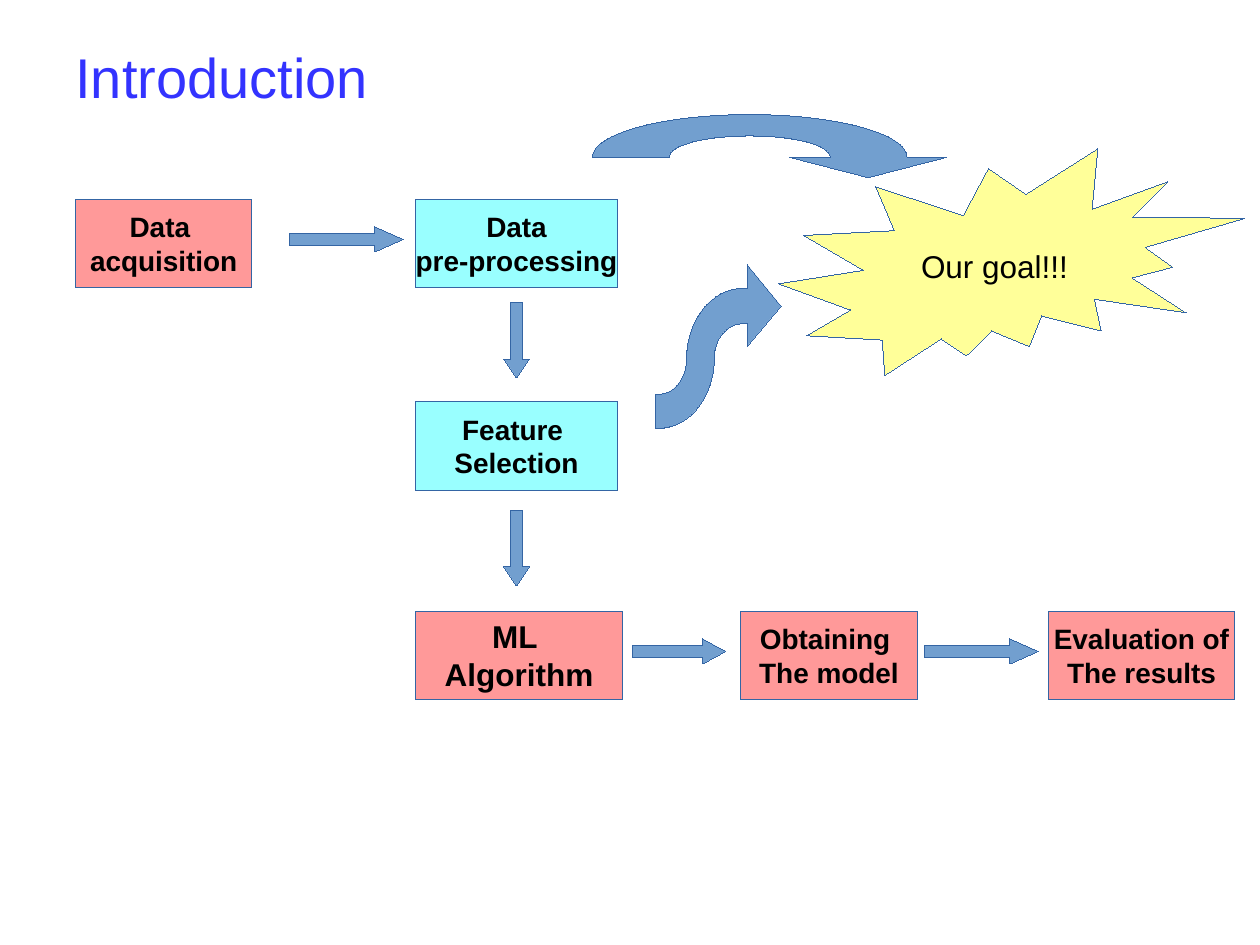
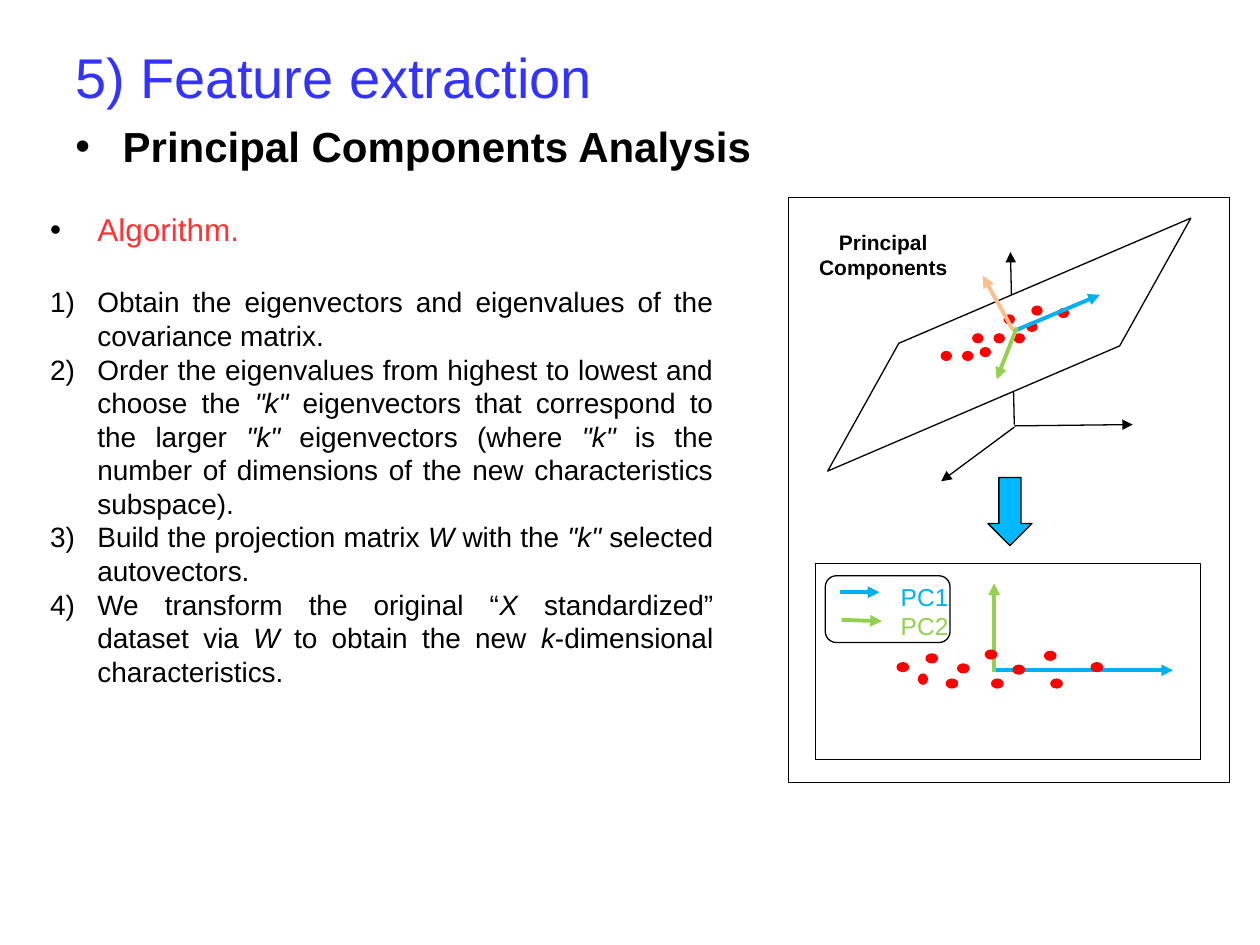
from lxml import etree
from pptx import Presentation
from pptx.dml.color import RGBColor
from pptx.enum.shapes import MSO_CONNECTOR, MSO_SHAPE
from pptx.enum.text import MSO_ANCHOR, PP_ALIGN
from pptx.oxml.ns import qn
from pptx.util import Pt

PX = 9144  # EMU per px, 100 px to the inch
HANG = 342900  # hanging indent of list items, in EMU
FONT = "Arial"
RECT, ROUND = MSO_SHAPE.RECTANGLE, MSO_SHAPE.ROUNDED_RECTANGLE
RIGHT, DOWN = MSO_SHAPE.RIGHT_ARROW, MSO_SHAPE.DOWN_ARROW
BURST, DOT = MSO_SHAPE.EXPLOSION2, MSO_SHAPE.FLOWCHART_CONNECTOR
PLANE = MSO_SHAPE.PARALLELOGRAM
STRAIGHT = MSO_CONNECTOR.STRAIGHT
LEFT, MID, JUST = PP_ALIGN.LEFT, PP_ALIGN.CENTER, PP_ALIGN.JUSTIFY
TOP, CENTER = MSO_ANCHOR.TOP, MSO_ANCHOR.MIDDLE
HEX = {
    "title": "3333FF", "black": "000000", "white": "FFFFFF", "red": "FF0000",
    "coral": "FF3333", "pink": "FF9999", "cyan": "99FFFF", "yellow": "FFFF99",
    "steel": "729FCF", "edge": "3465A4", "sky": "00B8FF", "blue": "00B0F0",
    "green": "92D050", "peach": "FAC090",
}
RGB = {name: RGBColor.from_string(code) for name, code in HEX.items()}


def write(frame, rows, align=LEFT, anchor=TOP, wrap=False, bold=False):
    """Fill a frame with (text, size, color[, mark, gap]) rows; *stars* are italic."""
    look = {"word_wrap": wrap, "vertical_anchor": anchor}
    for key, value in look.items():
        setattr(frame, key, value)
    for i, (text, size, color, *item) in enumerate(rows):
        para = frame.paragraphs[0] if i == 0 else frame.add_paragraph()
        para.alignment = align
        if item:
            mark, gap = item
            if gap:
                para.space_before = Pt(gap)
            props = para._p.get_or_add_pPr()
            props.set("marL", str(HANG))
            props.set("indent", str(-HANG))
            tint = etree.SubElement(props, qn("a:buClr"))
            etree.SubElement(tint, qn("a:srgbClr"), val=HEX["black"])
            etree.SubElement(props, qn("a:buFont"), typeface=FONT)
            if mark == "1)":
                etree.SubElement(props, qn("a:buAutoNum"), type="arabicParenR")
            else:
                etree.SubElement(props, qn("a:buChar"), char=mark)
        for n, part in enumerate(text.split("*")):
            run = para.add_run()
            run.text = part
            style = {"name": FONT, "size": Pt(size), "bold": bold, "italic": n % 2 == 1}
            for key, value in style.items():
                setattr(run.font, key, value)
            run.font.color.rgb = RGB[color]


def paint(shape, fill, line, width, adj=()):
    shape.shadow.inherit = False
    if fill:
        shape.fill.solid()
        shape.fill.fore_color.rgb = RGB[fill]
    else:
        shape.fill.background()
    shape.line.color.rgb = RGB[line]
    # The width property drops a zero, so a hairline is written directly
    shape.line._get_or_add_ln().set("w", str(int(Pt(width))))
    for i, value in enumerate(adj):
        shape.adjustments[i] = value
    return shape


deck = Presentation()
deck.slide_width, deck.slide_height = 1000 * PX, 750 * PX
slides = []
for title, wide in (("Introduction", 900), ("5) Feature extraction", 930)):
    slide = deck.slides.add_slide(deck.slide_layouts[6])
    box = slide.shapes.add_textbox(50 * PX, 30 * PX, wide * PX, 61 * PX)
    write(box.text_frame, [(title, 32, "title")], anchor=CENTER, wrap=True)
    slides.append(slide.shapes)
intro, pca = slides

# Introduction: the steps of the process
steps = [
    (60, 158, 140, "pink", 16, "Data ", "acquisition"),
    (330, 158, 160, "cyan", 16, "Data", "pre-processing"),
    (330, 319, 160, "cyan", 16, "Feature ", "Selection"),
    (330, 485, 164, "pink", 18, "ML ", "Algorithm"),
    (588, 485, 140, "pink", 16, "Obtaining ", "The model"),
    (832, 485, 148, "pink", 16, "Evaluation of", "The results"),
]
for x, y, w, fill, size, *lines in steps:
    step = intro.add_shape(RECT, x * PX, y * PX, w * PX, 70 * PX)
    paint(step, fill, "edge", 0)
    write(step.text_frame, [(line, size, "black") for line in lines], MID, CENTER, bold=True)

arrows = [
    (RIGHT, 230, 180, 90, 20, 1.125), (RIGHT, 502, 507, 74, 20, 0.92),
    (RIGHT, 734, 507, 90, 20, 1.125), (DOWN, 400, 240, 20, 60, 0.75),
    (DOWN, 400, 405, 20, 60, 0.75),
]
for kind, x, y, w, h, head in arrows:
    arrow = intro.add_shape(kind, x * PX, y * PX, w * PX, h * PX)
    paint(arrow, "steel", "edge", 0, (0.5, head))

goal = intro.add_shape(BURST, 618 * PX, 118 * PX, 370 * PX, 180 * PX)
paint(goal, "yellow", "edge", 0)
write(goal.text_frame, [("Our goal!!!", 18, "black")], MID, CENTER)

# Bent arrows: a part of one point is a straight line, of three a cubic curve
bends = [
    [[(659, 125)], [(659, 115), (630, 108), (595, 108)],
     [(560, 108), (531, 115), (531, 125)], [(470, 125)],
     [(470, 106), (526, 91), (595, 91)], [(664, 91), (720, 106), (720, 125)],
     [(751, 125)], [(689, 141)], [(627, 125)]],
    [[(589, 229)], [(565, 229), (545, 254), (545, 284)],
     [(545, 300), (535, 313), (523, 313)], [(520, 313)], [(520, 340)], [(523, 340)],
     [(547, 340), (567, 315), (567, 284)], [(567, 269), (577, 257), (589, 257)],
     [(593, 257)], [(593, 275)], [(620, 243)], [(593, 210)], [(593, 229)]],
]
for bend in bends:
    start, *rest = [spot for part in bend for spot in part]
    path = intro.build_freeform(*start, scale=PX)
    path.add_line_segments(rest, close=True)
    shape = paint(path.convert_to_shape(), "steel", "edge", 0)
    legs = iter(list(shape._element.iter(qn("a:lnTo"))))
    for part in bend[1:]:
        leg = next(legs)
        if len(part) == 3:
            leg.tag = qn("a:cubicBezTo")
            for _ in range(2):
                extra = next(legs)
                leg.append(extra[0])
                extra.getparent().remove(extra)

# Feature extraction: drawing parts from back to front
axes = [(805, 337, 802, 200), (805, 338, 899, 337), (805, 339, 747, 382)]
cloud = [(772, 265), (747, 279), (789, 265), (797, 250), (805, 265),
         (778, 276), (764, 279), (815, 256), (819, 243), (840, 245)]
flat = [(712, 526), (735, 519), (751, 539), (760, 527), (782, 516),
        (787, 539), (866, 526), (804, 528), (829, 517), (834, 539)]
parts = [("line", *axis, "black", 0.75) for axis in axes]
parts += [(PLANE, 629, 238, 344, 71, "white", "black", 1.294)]
parts += [(DOT, x, y, 8, 7, "red", "red") for x, y in cloud]
parts += [
    ("line", 804, 263, 873, 234, "blue", 2.25),
    ("line", 807, 260, 791, 301, "green", 2.25),
    (RECT, 647, 447, 306, 156, None, "black"),
    ("line", 789, 532, 931, 532, "blue", 2.25),
    ("line", 789, 533, 789, 463, "green", 2.25),
    (DOT, 729, 535, 7, 8, "red", "red"),
]
parts += [(DOT, x, y, 9, 7, "red", "red") for x, y in flat]
parts += [
    (DOWN, 784, 379, 35, 54, "sky", "black", 0.5, 0.5),
    ("line", 804, 262, 780, 219, "peach", 2.25),
    (ROUND, 655, 457, 99, 53, None, "black", 0.167),
    ("line", 667, 470, 698, 470, "blue", 2.25),
    ("line", 668, 492, 700, 493, "green", 2.25),
    (RECT, 626, 157, 350, 464, None, "black"),
]
for kind, a, b, c, d, *look in parts:
    spot = (a * PX, b * PX, c * PX, d * PX)
    if kind == "line":
        line = pca.add_connector(STRAIGHT, *spot)
        line.line.color.rgb = RGB[look[0]]
        line.line.width = Pt(look[1])
        etree.SubElement(line.line._get_or_add_ln(), qn("a:tailEnd"), type="triangle")
        etree.SubElement(line._element.spPr, qn("a:effectLst"))
        continue
    shape = paint(pca.add_shape(kind, *spot), look[0], look[1], 0.75, look[2:])
    if kind == PLANE:
        shape.rotation = 336.8

head = [("Principal Components Analysis", 24, "black", "•", 0)]
legend = [("PC1", 14, "blue"), ("PC2", 14, "green")]
label = [("Principal", 12, "black"), ("Components", 12, "black")]
rules = [
    "Obtain the eigenvectors and eigenvalues of the covariance matrix.",
    'Order the eigenvalues from highest to lowest and choose the *"k"* eigenvectors '
    'that correspond to the larger *"k"* eigenvectors (where *"k"* is the number of '
    "dimensions of the new characteristics subspace).",
    'Build the projection matrix *W* with the *"k"* selected autovectors.',
    "We transform the original “*X* standardized” dataset via *W* to obtain the new "
    "*k*-dimensional characteristics.",
]
method = [("Algorithm.", 18, "coral", "•", 0)]
method += [(rule, 16, "black", "1)", 0 if i else 21) for i, rule in enumerate(rules)]
notes = [
    (50, 91, 562, 66, head, {"align": JUST, "wrap": True, "bold": True}),
    (705, 457, 58, 56, legend, {}),
    (640, 177, 122, 50, label, {"align": MID, "bold": True}),
    (30, 162, 546, 428, method, {"align": JUST, "wrap": True}),
]
for x, y, w, h, rows, style in notes:
    note = pca.add_textbox(x * PX, y * PX, w * PX, h * PX)
    write(note.text_frame, rows, **style)

deck.save("out.pptx")
